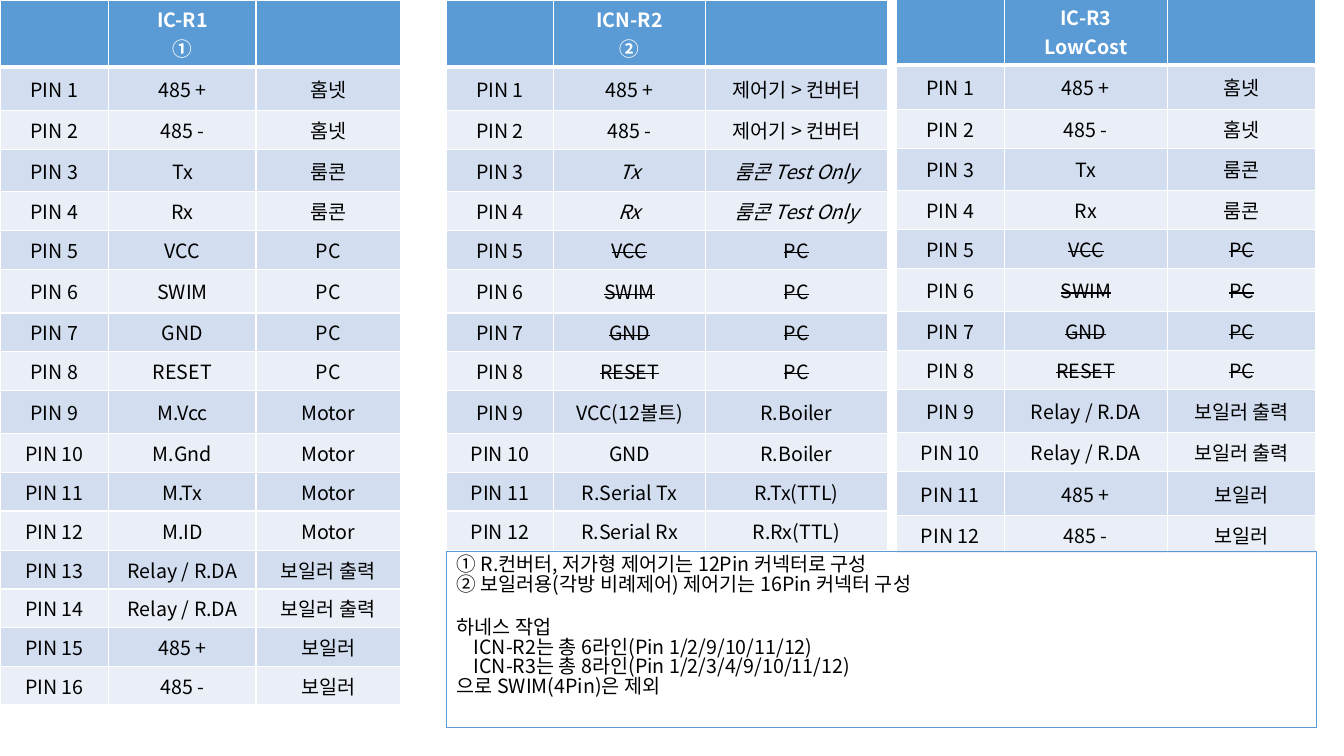
import pptx
import pptx.dml.color
import pptx.enum.shapes
import pptx.enum.text
import pptx.oxml
import pptx.oxml.ns
import pptx.util

PX = 9144
FONT = "Noto Sans CJK KR"
BLUE, DARK, LIGHT = "5B9BD5", "D2DEEF", "EAEFF7"
WHITE, BLACK = "FFFFFF", "000000"
ROWS = [56, 43, 33, 42, 32, 39, 43, 37, 38, 43, 32, 37, 39, 37, 36, 33, 33]

HOME = [("485 +", "홈넷"), ("485 -", "홈넷")]
ROOM = [("Tx", "룸콘"), ("Rx", "룸콘")]
DEBUG = [(name, "PC") for name in ("VCC", "SWIM", "GND", "RESET")]
MOTOR = [(name, "Motor") for name in ("M.Vcc", "M.Gnd", "M.Tx", "M.ID")]
RELAY = [("Relay / R.DA", "보일러 출력")] * 2
HEAT = [("485 +", "보일러"), ("485 -", "보일러")]
LINK = [("485 +", "제어기 > 컨버터"), ("485 -", "제어기 > 컨버터")]
TEST = [("Tx", "룸콘 Test Only"), ("Rx", "룸콘 Test Only")]
BOILER = [("VCC(12볼트)", "R.Boiler"), ("GND", "R.Boiler"),
          ("R.Serial Tx", "R.Tx(TTL)"), ("R.Serial Rx", "R.Rx(TTL)")]


def px(num):
    return pptx.util.Emu(num * PX)


def color(code):
    return pptx.dml.color.RGBColor.from_string(code)


def write(para, text, tone=BLACK, bold=False, slant=False, strike=False,
          align="LEFT"):
    para.alignment = getattr(pptx.enum.text.PP_ALIGN, align)
    run = para.add_run()
    run.text = text
    font = run.font
    font.size = pptx.util.Pt(14)
    font.name = FONT
    font.bold = bold
    font.italic = slant
    font.color.rgb = color(tone)
    props = run._r.get_or_add_rPr()
    if strike:
        props.set("strike", "sngStrike")
    east = pptx.oxml.parse_xml(
        f'<a:ea {pptx.oxml.ns.nsdecls("a")} typeface="{FONT}"/>')
    props.find(pptx.oxml.ns.qn("a:latin")).addnext(east)


def paint(cell, fill, base=1, top=1):
    props = cell._tc.get_or_add_tcPr()
    for side, width in (("L", 1), ("R", 1), ("T", top), ("B", base)):
        props.append(pptx.oxml.parse_xml(
            f'<a:ln{side} {pptx.oxml.ns.nsdecls("a")} w="{width * 12700}">'
            f'<a:solidFill><a:srgbClr val="{WHITE}"/></a:solidFill>'
            f'</a:ln{side}>'))
    cell.fill.solid()
    cell.fill.fore_color.rgb = color(fill)


def pins(slide, left, top, cols, rows, title, data, slant=(), strike=()):
    frame = slide.shapes.add_table(len(rows), len(cols), px(left), px(top),
                                   px(sum(cols)), px(sum(rows)))
    table = frame.table
    for col, width in zip(table.columns, cols):
        col.width = px(width)
    for row, height in zip(table.rows, rows):
        row.height = px(height)
    for cell in table.rows[0].cells:
        paint(cell, BLUE, base=3)
    body = table.cell(0, 1).text_frame
    write(body.paragraphs[0], title[0], tone=WHITE, bold=True, align="CENTER")
    write(body.add_paragraph(), title[1], tone=WHITE, bold=True,
          align="CENTER")
    for pin, pair in enumerate(data, 1):
        for col, text in enumerate((f"PIN {pin}", *pair)):
            cell = table.cell(pin, col)
            paint(cell, DARK if pin % 2 else LIGHT, top=3 if pin == 1 else 1)
            cell.vertical_anchor = pptx.enum.text.MSO_ANCHOR.MIDDLE
            write(cell.text_frame.paragraphs[0], text, align="CENTER",
                  slant=col > 0 and pin in slant,
                  strike=col > 0 and pin in strike)


def note(slide, left, top, width, height, lines):
    box = slide.shapes.add_shape(pptx.enum.shapes.MSO_SHAPE.RECTANGLE,
                                 px(left), px(top), px(width), px(height))
    box.shadow.inherit = False
    box.fill.background()
    box.line.color.rgb = color(BLUE)
    box.line.width = pptx.util.Pt(0.75)
    frame = box.text_frame
    frame.word_wrap = True
    frame.vertical_anchor = pptx.enum.text.MSO_ANCHOR.TOP
    for num, (text, dent, gap) in enumerate(lines):
        para = frame.add_paragraph() if num else frame.paragraphs[0]
        para.line_spacing = 0.83
        para.space_before = pptx.util.Pt(gap)
        para._p.get_or_add_pPr().set("marL", str(px(dent)))
        write(para, text)


def main():
    deck = pptx.Presentation()
    deck.slide_width, deck.slide_height = px(1333), px(750)
    slide = deck.slides.add_slide(deck.slide_layouts[6])
    cut = range(5, 9)
    pins(slide, 443, 0, [106, 151, 180], ROWS[:13], ("ICN-R2", "②"),
         LINK + TEST + DEBUG + BOILER, slant=(3, 4), strike=cut)
    pins(slide, 889, -2, [107, 162, 147],
         [56, 44] + ROWS[2:10] + [39, 43, 31], ("IC-R3", "LowCost"),
         HOME + ROOM + DEBUG + RELAY + HEAT, strike=cut)
    pins(slide, 0, 0, [108, 146, 143], ROWS, ("IC-R1", "①"),
         HOME + ROOM + DEBUG + MOTOR + RELAY + HEAT)
    note(slide, 443, 547, 863, 175, [
        ("① R.컨버터, 저가형 제어기는 12Pin 커넥터로 구성", 0, 0),
        ("② 보일러용(각방 비례제어) 제어기는 16Pin 커넥터 구성", 0, 0),
        ("하네스 작업", 0, 17),
        ("ICN-R2는 총 6라인(Pin 1/2/9/10/11/12)", 17, 0),
        ("ICN-R3는 총 8라인(Pin 1/2/3/4/9/10/11/12)", 17, 0),
        ("으로 SWIM(4Pin)은 제외", 0, 0),
    ])
    deck.save("out.pptx")


if __name__ == "__main__":
    main()
